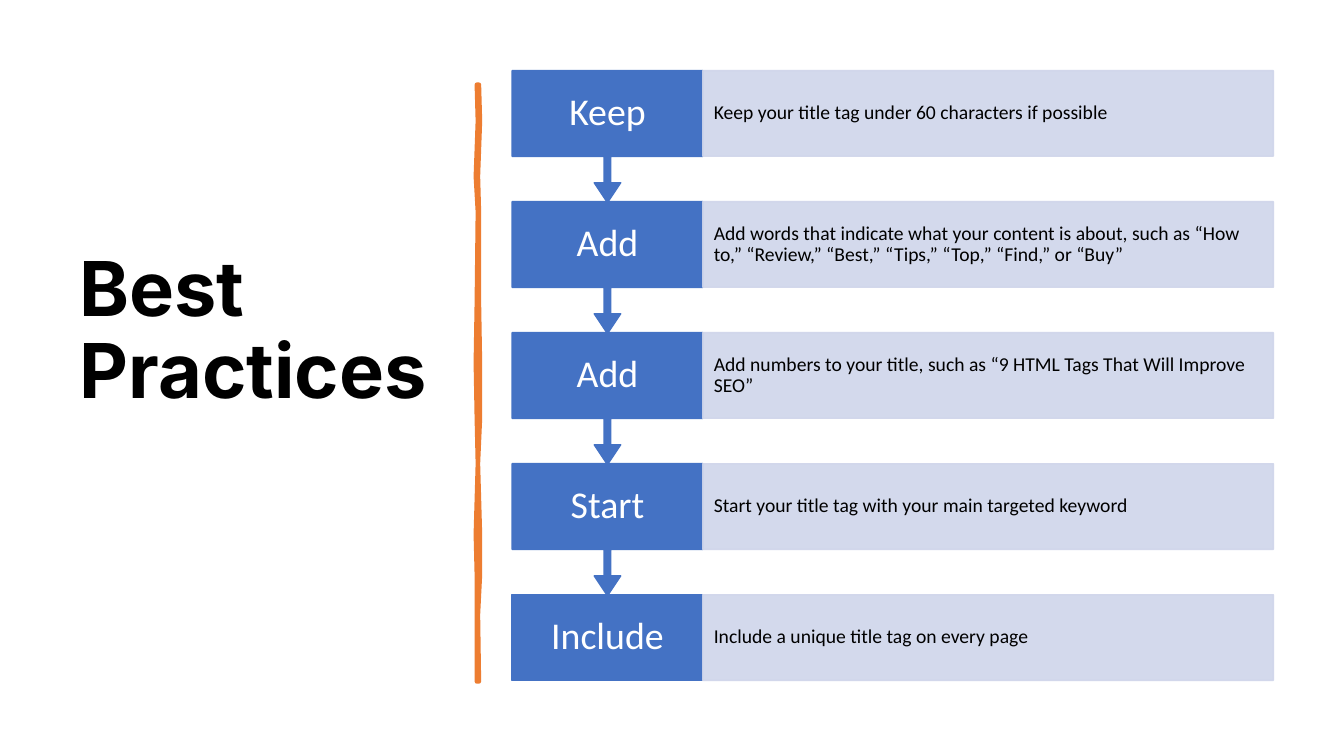
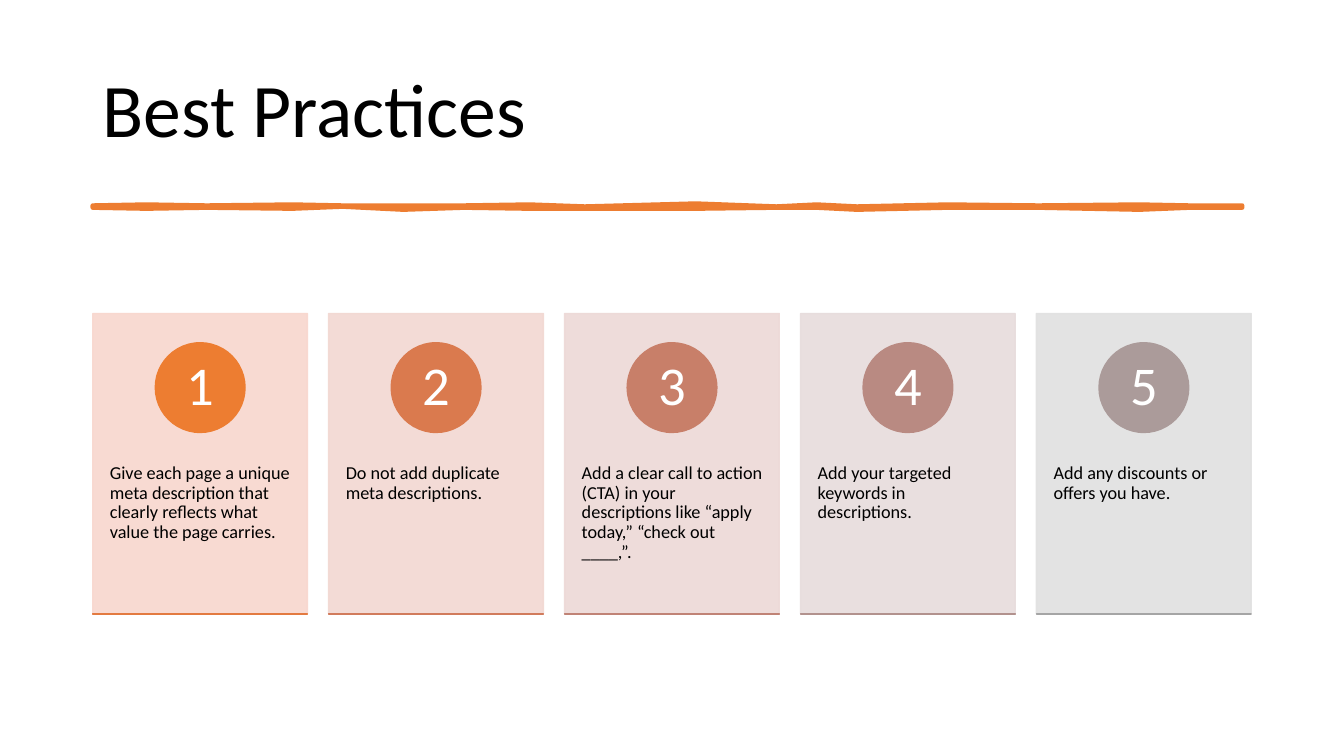
from copy import deepcopy

from lxml.etree import SubElement
from pptx import Presentation
from pptx.dml.color import RGBColor
from pptx.enum.shapes import MSO_SHAPE
from pptx.enum.text import MSO_ANCHOR, MSO_AUTO_SIZE, PP_ALIGN
from pptx.oxml.ns import qn
from pptx.util import Inches, Pt

BLACK, WHITE = "000000", "FFFFFF"
ORANGE, BLUE, PALE_BLUE = "ED7D31", "4472C4", "CFD5EA"
BODY_FONT, DISPLAY_FONT = "Calibri", "Inter"
TITLE = "Best Practices"

STEPS = [
    ("Keep", "Keep your title tag under 60 characters if possible"),
    ("Add", "Add words that indicate what your content is about, such as “How to,” "
            "“Review,” “Best,” “Tips,” “Top,” “Find,” or “Buy”"),
    ("Add", "Add numbers to your title, such as “9 HTML Tags That Will Improve SEO”"),
    ("Start", "Start your title tag with your main targeted keyword"),
    ("Include", "Include a unique title tag on every page"),
]
CARDS = [
    ("Give each page a unique meta description that clearly reflects what value "
     "the page carries.", "F8D7CE", ORANGE, "E37A40"),
    ("Do not add duplicate meta descriptions.", "F2D8D2", "DA7A4E", "D17B5C"),
    ("Add a clear call to action (CTA) in your descriptions like “apply today,” "
     "“check out ____,”.", "EDD9D7", "C87F69", "C08376"),
    ("Add your targeted keywords in descriptions.", "E7DCDC", "B98A82", "B2928E"),
    ("Add any discounts or offers you have.", "E1E1E1", "AB9B9A", "A5A5A5"),
]

VERTICAL_STROKE = [
    (0.84, 4.73, 4.75), (1.2, 4.74, 4.76), (1.75, 4.72, 4.74), (2.1, 4.74, 4.75),
    (3, 4.73, 4.75), (3.6, 4.72, 4.76), (4.15, 4.73, 4.76), (4.6, 4.74, 4.74),
    (5.3, 4.72, 4.76), (5.7, 4.73, 4.76), (6.1, 4.73, 4.74), (6.76, 4.73, 4.75),
]
HORIZONTAL_STROKE = [
    (0.92, 2.04, 2.06), (1.45, 2.03, 2.07), (2.05, 2.04, 2.06), (2.9, 2.03, 2.07),
    (3.4, 2.04, 2.05), (4, 2.04, 2.08), (4.6, 2.04, 2.06), (5.25, 2.03, 2.07),
    (5.8, 2.05, 2.07), (6.9, 2.02, 2.07), (7.7, 2.05, 2.06), (8.1, 2.03, 2.06),
    (8.5, 2.05, 2.08), (9.4, 2.03, 2.06), (10.3, 2.04, 2.06), (11.3, 2.03, 2.08),
    (11.8, 2.04, 2.06), (12.32, 2.04, 2.06),
]


def rgb(value):
    return RGBColor.from_string(value)


def paint(shape, color, line_width=1, opacity=100):
    shape.shadow.inherit = False
    shape.fill.solid()
    shape.fill.fore_color.rgb = rgb(color)
    shape.line.color.rgb = rgb(color)
    shape.line.width = Pt(line_width)
    if opacity < 100:
        for node in shape._element.spPr.iter(qn("a:srgbClr")):
            SubElement(node, qn("a:alpha"), val=str(opacity * 1000))


def write(shape, text, size, color=BLACK, font=BODY_FONT, bold=False,
          align=PP_ALIGN.LEFT, anchor=MSO_ANCHOR.MIDDLE, insets=(0.1, 0.05)):
    frame = shape.text_frame
    frame.word_wrap = True
    frame.auto_size = MSO_AUTO_SIZE.NONE
    frame.vertical_anchor = anchor
    frame.margin_left = frame.margin_right = Inches(insets[0])
    frame.margin_top = frame.margin_bottom = Inches(insets[1])
    para = frame.paragraphs[0]
    para.alignment = align
    para.line_spacing = 0.9
    span = para.add_run()
    span.text = text
    span.font.size = Pt(size)
    span.font.name = font
    span.font.bold = bold
    span.font.color.rgb = rgb(color)
    return para


def end_with_break(para):
    style = para.runs[-1]._r.rPr
    para.add_line_break()
    para._p[-1].append(deepcopy(style))
    ending = SubElement(para._p, qn("a:endParaRPr"), dict(style.attrib))
    for child in style:
        ending.append(deepcopy(child))


def add_block(page, kind, left, top, width, height, color, opacity=100):
    block = page.shapes.add_shape(
        kind, Inches(left), Inches(top), Inches(width), Inches(height))
    paint(block, color, opacity=opacity)
    return block


def add_page(deck, area, font=BODY_FONT, bold=False):
    page = deck.slides.add_slide(deck.slide_layouts[5])
    title = page.shapes.title
    title.left, title.top, title.width, title.height = map(Inches, area)
    write(title, TITLE, 54, font=font, bold=bold)
    return page


def add_stroke(page, knots, vertical=False):
    near = [(along, low) for along, low, high in knots]
    far = [(along, high) for along, low, high in knots]
    points = [(Inches(across), Inches(along)) if vertical else (Inches(along), Inches(across))
              for along, across in near + far[::-1]]
    builder = page.shapes.build_freeform(*points[0], scale=1.0)
    builder.add_line_segments(points[1:], close=True)
    stroke = builder.convert_to_shape()
    paint(stroke, ORANGE, 3.25)
    SubElement(stroke.line._get_or_add_ln(), qn("a:round"))


def build_steps(deck):
    page = add_page(deck, (0.69, 0.7, 3.74, 6.11), DISPLAY_FONT, bold=True)
    end_with_break(page.shapes.title.text_frame.paragraphs[0])
    add_stroke(page, VERTICAL_STROKE, vertical=True)
    left, top, pitch, height = 5.08, 0.7, 1.3, 0.85
    label_width, detail_width = 1.89, 5.66
    last = len(STEPS) - 1
    for index, (label, detail) in reversed(list(enumerate(STEPS))):
        y = top + index * pitch
        is_last = index == last
        kind = MSO_SHAPE.RECTANGLE if is_last else MSO_SHAPE.DOWN_ARROW_CALLOUT
        block = add_block(page, kind, left, y, label_width,
                          height if is_last else pitch + 0.01, BLUE)
        if not is_last:
            for position, value in enumerate((0.05, 0.1, 0.15, 0.65)):
                block.adjustments[position] = value
        write(block, label, 27, WHITE, align=PP_ALIGN.CENTER, insets=(0.13, 0.21))
        panel = add_block(page, MSO_SHAPE.RECTANGLE, left + label_width, y,
                          detail_width, height, PALE_BLUE, opacity=90)
        write(panel, detail, 14, insets=(0.11, 0.19))


def build_cards(deck):
    page = add_page(deck, (0.92, 0.4, 11.5, 1.45))
    add_stroke(page, HORIZONTAL_STROKE)
    left, top, pitch, width, height = 0.92, 3.11, 2.34, 2.13, 2.98
    badge_size = 0.89
    for index, (text, tint, badge_color, edge_color) in enumerate(CARDS):
        x = left + index * pitch
        card = add_block(page, MSO_SHAPE.RECTANGLE, x, top, width, height, tint, opacity=90)
        write(card, text, 13, anchor=MSO_ANCHOR.TOP, insets=(0.17, 0.36))
        card.text_frame.margin_top = Inches(1.49)
        badge = add_block(page, MSO_SHAPE.OVAL, x + (width - badge_size) / 2, top + 0.29,
                          badge_size, badge_size, badge_color)
        write(badge, str(index + 1), 39, WHITE, align=PP_ALIGN.CENTER, insets=(0.07, 0.01))
        add_block(page, MSO_SHAPE.RECTANGLE, x, top + height, width, 0, edge_color)


def main():
    deck = Presentation()
    deck.slide_width, deck.slide_height = Inches(13.33), Inches(7.5)
    build_steps(deck)
    build_cards(deck)
    deck.save("out.pptx")


if __name__ == "__main__":
    main()
